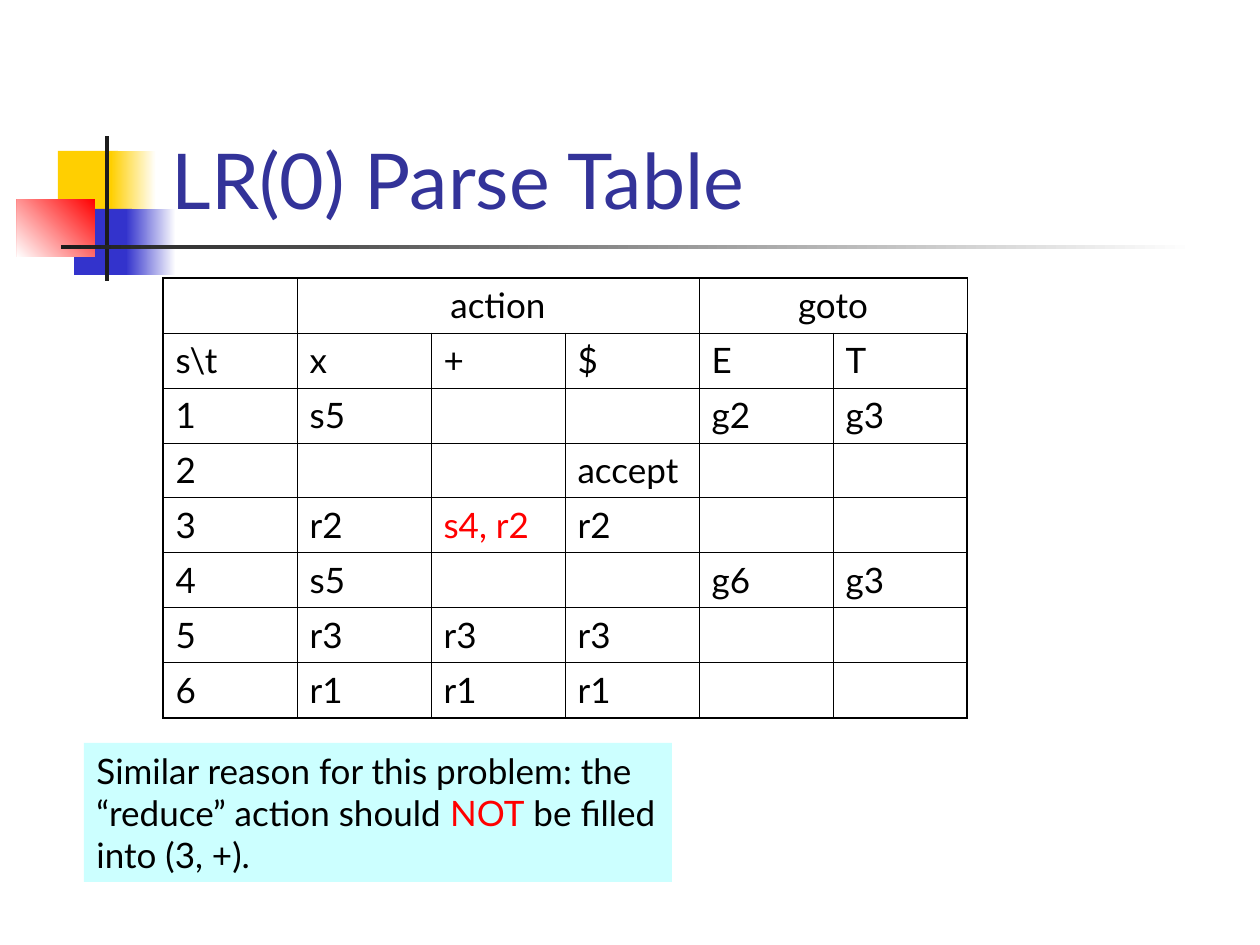
"""Build the LR(0) parse table slide."""
import pptx
import pptx.dml.color
import pptx.enum.shapes
import pptx.enum.text
import pptx.oxml
import pptx.oxml.ns
import pptx.util

PX = 914400 / 126
COLORS = {
    "yellow": "FFCF01", "blue": "3333CC", "red": "FF0000", "white": "FFFFFF",
    "charcoal": "1C1C1C", "title": "333399", "text": "000000", "note": "CCFFFF",
}
HEADERS = [(1, 3, "action"), (4, 5, "goto")]
ROWS = [
    ["s\\t", "x", "+", "$", "E", "T"],
    ["1", "s5", "", "", "g2", "g3"],
    ["2", "", "", "accept", "", ""],
    ["3", "r2", "s4, r2", "r2", "", ""],
    ["4", "s5", "", "", "g6", "g3"],
    ["5", "r3", "r3", "r3", "", ""],
    ["6", "r1", "r1", "r1", "", ""],
]
CONFLICT = "s4, r2"
NOTE = [
    ("Similar reason for this problem: the “reduce” action should ", "text"),
    ("NOT", "red"),
    (" be filled into (3, +).", "text"),
]


def px(*lengths):
    return [pptx.util.Emu(round(length * PX)) for length in lengths]


def rgb(name):
    return pptx.dml.color.RGBColor.from_string(COLORS[name])


class SlideBuilder:
    font_name = "Lato"
    body_size = 20
    thin, thick = 0.45, 1.08

    def __init__(self, slide):
        self.slide = slide

    def style(self, font, size, color):
        font.name = self.font_name
        font.size = pptx.util.Pt(size)
        font.color.rgb = rgb(color)

    def rectangle(self, box, color, fade=None, angle=180):
        shape = self.slide.shapes.add_shape(
            pptx.enum.shapes.MSO_SHAPE.RECTANGLE, *px(*box))
        shape.shadow.inherit = False
        shape.line.fill.background()
        if fade:
            shape.fill.gradient()
            shape.fill.gradient_angle = angle
            for stop, name in zip(shape.fill.gradient_stops, (color, fade)):
                stop.color.rgb = rgb(name)
        else:
            shape.fill.solid()
            shape.fill.fore_color.rgb = rgb(color)
        return shape

    def title(self, box, text):
        title = self.slide.shapes.title
        title.left, title.top, title.width, title.height = px(*box)
        title.element.getparent().append(title.element)
        frame = title.text_frame
        frame.text = text
        frame.auto_size = pptx.enum.text.MSO_AUTO_SIZE.NONE
        frame.vertical_anchor = pptx.enum.text.MSO_ANCHOR.BOTTOM
        paragraph = frame.paragraphs[0]
        paragraph.alignment = pptx.enum.text.PP_ALIGN.LEFT
        self.style(paragraph.font, 44, "title")

    def borders(self, cell, widths):
        properties = cell._tc.get_or_add_tcPr()
        for index, (side, width) in enumerate(zip("LRTB", widths)):
            properties.insert(index, pptx.oxml.parse_xml(
                f'<a:ln{side} {pptx.oxml.ns.nsdecls("a")} w="{pptx.util.Pt(width)}">'
                f'<a:solidFill><a:srgbClr val="{COLORS["text"]}"/></a:solidFill>'
                f'</a:ln{side}>'))

    def cell_text(self, cell, text, color="text", alignment=None):
        cell.text = text
        paragraph = cell.text_frame.paragraphs[0]
        paragraph.alignment = alignment
        paragraph.space_before = pptx.util.Pt(5)
        self.style(paragraph.font, self.body_size, color)

    def table(self, left, top, column_width, row_height, headers, rows):
        row_count, column_count = len(rows) + 1, len(rows[0])
        table = self.slide.shapes.add_table(
            row_count, column_count,
            *px(left, top, column_width * column_count, row_height * row_count)).table
        table.first_row = table.horz_banding = False
        for column in table.columns:
            column.width = px(column_width)[0]
        for row in table.rows:
            row.height = px(row_height)[0]
        for r in range(row_count):
            for c in range(column_count):
                cell = table.cell(r, c)
                cell.fill.background()
                edges = (c == 0, c == column_count - 1, r == 0, r == row_count - 1)
                self.borders(cell, [self.thick if edge else self.thin for edge in edges])
                text = rows[r - 1][c] if r else ""
                if text:
                    self.cell_text(cell, text, "red" if text == CONFLICT else "text")
        for first, last, text in headers:
            cell = table.cell(0, first)
            cell.merge(table.cell(0, last))
            self.cell_text(cell, text, alignment=pptx.enum.text.PP_ALIGN.CENTER)

    def note(self, box, runs):
        frame = self.rectangle(box, "note").text_frame
        frame.word_wrap = True
        frame.vertical_anchor = pptx.enum.text.MSO_ANCHOR.TOP
        paragraph = frame.paragraphs[0]
        paragraph.alignment = pptx.enum.text.PP_ALIGN.LEFT
        paragraph.space_before = pptx.util.Pt(12.5)
        for text, color in runs:
            run = paragraph.add_run()
            run.text = text
            self.style(run.font, self.body_size, color)


def main():
    presentation = pptx.Presentation()
    presentation.slide_width, presentation.slide_height = px(1260, 945)
    builder = SlideBuilder(presentation.slides.add_slide(presentation.slide_layouts[5]))
    builder.rectangle((58, 151, 60, 66), "yellow")
    builder.rectangle((111, 151, 45, 66), "white", "yellow")
    builder.rectangle((74, 209, 58, 66), "blue")
    builder.rectangle((126, 209, 50, 66), "white", "blue")
    builder.rectangle((17, 199, 78, 58), "red", "white", angle=225)
    builder.rectangle((105, 136, 4, 145), "charcoal")
    builder.rectangle((61, 245, 1134, 4), "white", "charcoal")
    builder.title((159, 29, 1074, 202), "LR(0) Parse Table")
    builder.table(163, 278, 134, 55, HEADERS, ROWS)
    builder.note((84, 743, 588, 139), NOTE)
    presentation.save("out.pptx")


if __name__ == "__main__":
    main()
